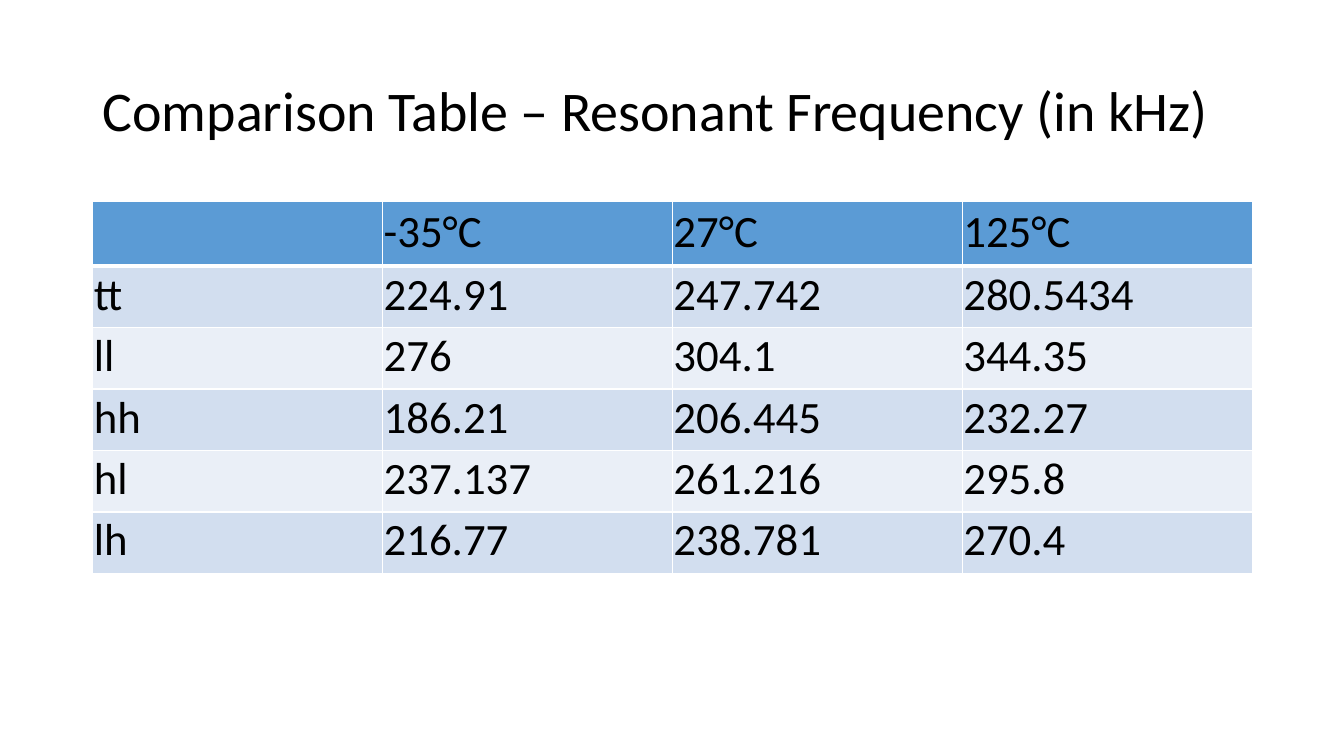
import pptx
import pptx.dml.color
import pptx.enum.text
import pptx.oxml
import pptx.oxml.ns
import pptx.util
from pptx.util import Inches

TITLE = "Comparison Table – Resonant Frequency (in kHz)"
ROWS = [
    ("", "-35°C", "27°C", "125°C"),
    ("tt", "224.91", "247.742", "280.5434"),
    ("ll", "276", "304.1", "344.35"),
    ("hh", "186.21", "206.445", "232.27"),
    ("hl", "237.137", "261.216", "295.8"),
    ("lh", "216.77", "238.781", "270.4"),
]
FONT = "Calibri"
TEXT, BORDER = "000000", "FFFFFF"
HEADER_FILL = "5B9BD5"
BAND_FILLS = ("D2DEEF", "EAEFF7")
LEFT, WIDTH = 0.92, 11.5
TABLE_TOP = 2
HEADER_HEIGHT, BODY_HEIGHT = 0.64, 0.61
MIDDLE = pptx.enum.text.MSO_ANCHOR.MIDDLE


def color(value):
    return pptx.dml.color.RGBColor.from_string(value)


def add_run(paragraph, text, size):
    run = paragraph.add_run()
    run.text = text
    run.font.name = FONT
    run.font.size = pptx.util.Pt(size)
    run.font.color.rgb = color(TEXT)


def set_borders(cell, widths):
    """Draw left, right, top and bottom borders, ahead of the cell's fill."""
    properties = cell._tc.get_or_add_tcPr()
    for index, (side, width) in enumerate(zip("LRTB", widths)):
        line = pptx.oxml.parse_xml(
            f'<a:ln{side} {pptx.oxml.ns.nsdecls("a")} w="{pptx.util.Pt(width)}">'
            f'<a:solidFill><a:srgbClr val="{BORDER}"/></a:solidFill></a:ln{side}>'
        )
        properties.insert(index, line)


def add_title(slide):
    box = slide.shapes.add_textbox(Inches(LEFT), Inches(0.4), Inches(WIDTH), Inches(1.45))
    frame = box.text_frame
    frame.word_wrap = True
    frame.vertical_anchor = MIDDLE
    paragraph = frame.paragraphs[0]
    paragraph.line_spacing = 0.9
    add_run(paragraph, TITLE, 40)


def add_frequency_table(slide):
    heights = [HEADER_HEIGHT] + [BODY_HEIGHT] * (len(ROWS) - 1)
    table = slide.shapes.add_table(
        len(ROWS), len(ROWS[0]),
        Inches(LEFT), Inches(TABLE_TOP), Inches(WIDTH), Inches(sum(heights)),
    ).table
    for row_index, values in enumerate(ROWS):
        table.rows[row_index].height = Inches(heights[row_index])
        is_header = row_index == 0
        fill = HEADER_FILL if is_header else BAND_FILLS[(row_index - 1) % 2]
        widths = (1, 1, 3 if row_index == 1 else 1, 3 if is_header else 1)
        for column_index, value in enumerate(values):
            cell = table.cell(row_index, column_index)
            cell.fill.solid()
            cell.fill.fore_color.rgb = color(fill)
            set_borders(cell, widths)
            cell.vertical_anchor = MIDDLE
            cell.margin_left = cell.margin_right = cell.margin_top = Inches(0.01)
            cell.margin_bottom = Inches(0.05)
            if value:
                add_run(cell.text_frame.paragraphs[0], value, 32)


def main():
    presentation = pptx.Presentation()
    presentation.slide_width = Inches(13.33)
    presentation.slide_height = Inches(7.5)
    slide = presentation.slides.add_slide(presentation.slide_layouts[6])
    add_title(slide)
    add_frequency_table(slide)
    presentation.save("out.pptx")


if __name__ == "__main__":
    main()
